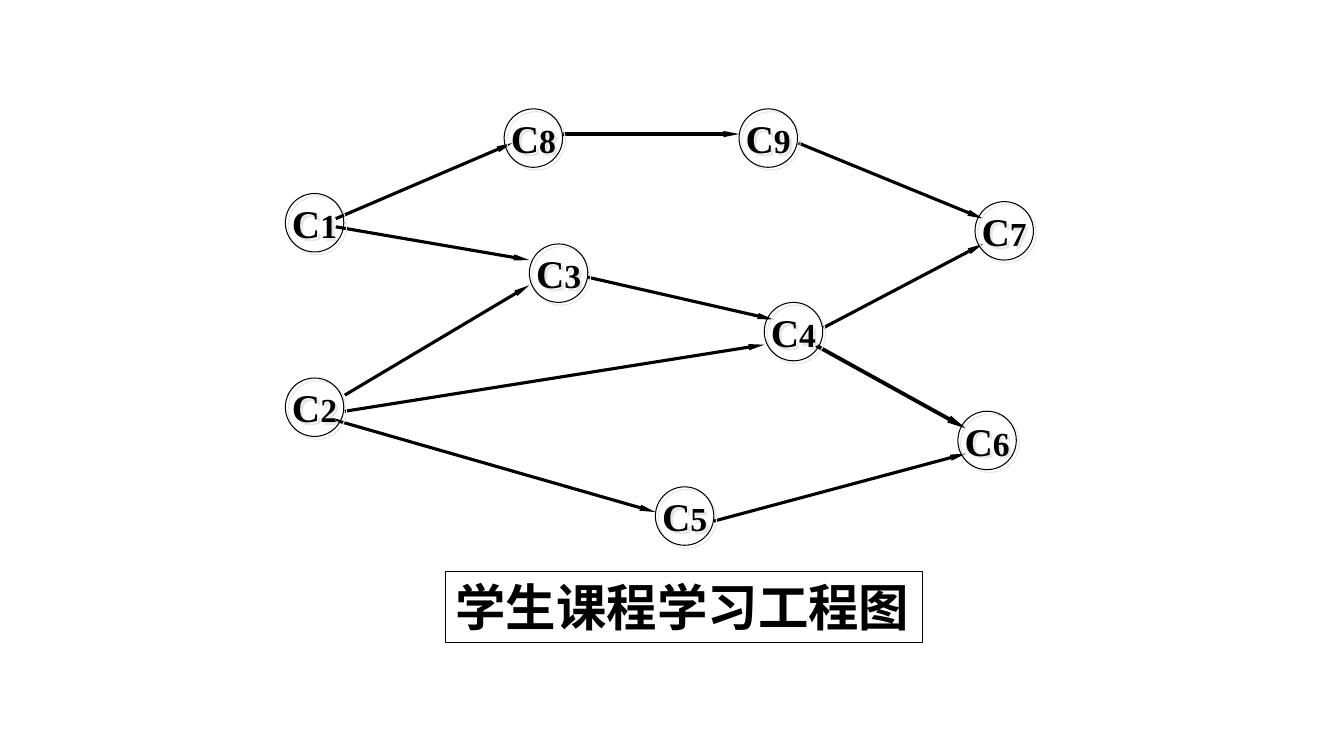
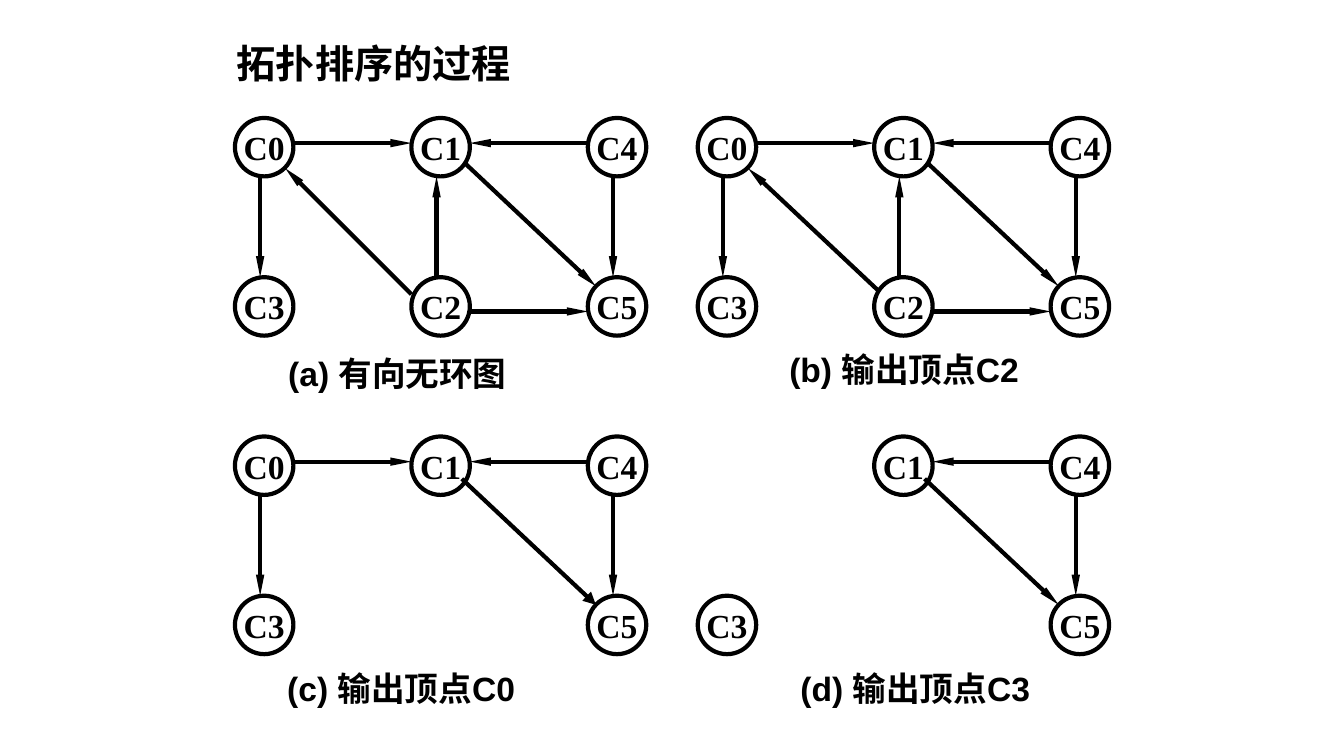
from lxml import etree
from pptx import Presentation
from pptx.dml.color import RGBColor
from pptx.enum.shapes import MSO_CONNECTOR, MSO_SHAPE
from pptx.enum.text import MSO_ANCHOR, MSO_AUTO_SIZE, PP_ALIGN
from pptx.oxml import parse_xml
from pptx.oxml.ns import qn
from pptx.util import Inches, Pt

BLACK = RGBColor(0x00, 0x00, 0x00)
WHITE = RGBColor(0xFF, 0xFF, 0xFF)
SERIF, SANS = "Times New Roman", "Arial"
OVAL, RECT = MSO_SHAPE.OVAL, MSO_SHAPE.RECTANGLE
STRAIGHT = MSO_CONNECTOR.STRAIGHT
MIDDLE, CENTER = MSO_ANCHOR.MIDDLE, PP_ALIGN.CENTER
GROW = MSO_AUTO_SIZE.SHAPE_TO_FIT_TEXT
NODE = 0.58

NODE_SHADOW = (
    '<a:effectLst xmlns:a="http://schemas.openxmlformats.org/drawingml/2006/main">'
    '<a:outerShdw dist="35921" dir="2700000" algn="ctr" rotWithShape="0">'
    '<a:srgbClr val="E7E6E6"/></a:outerShdw></a:effectLst>'
)


def add_arrow(s, x1, y1, x2, y2, weight, head=("sm", "lg")):
    line = s.shapes.add_connector(STRAIGHT, Inches(x1), Inches(y1), Inches(x2), Inches(y2))
    line.line.color.rgb = BLACK
    line.line.width = Pt(weight)
    etree.SubElement(line.line._get_or_add_ln(), qn("a:tailEnd"),
                     type="triangle", w=head[0], len=head[1])
    etree.SubElement(line._element.spPr, qn("a:effectLst"))


def add_text_shape(s, kind, x, y, w, h, parts, font, weight=None, fill=None):
    """Add a shape, or a text box if kind is None; parts are (text, size) pairs."""
    box = Inches(x), Inches(y), Inches(w), Inches(h)
    if kind is None:
        sp = s.shapes.add_textbox(*box)
    else:
        sp = s.shapes.add_shape(kind, *box)
        sp.shadow.inherit = False
        sp.line.color.rgb = BLACK
        sp.line.width = Pt(weight)
        if fill is None:
            sp.fill.background()
        else:
            sp.fill.solid()
            sp.fill.fore_color.rgb = fill
    tf = sp.text_frame
    tf.word_wrap = kind is None
    p = tf.paragraphs[0]
    p.alignment = PP_ALIGN.LEFT
    if kind == OVAL:
        tf.vertical_anchor = MIDDLE
        p.alignment = CENTER
    for text, size in parts:
        r = p.add_run()
        r.text = text
        r.font.name = font
        r.font.size = Pt(size)
        r.font.bold = True
        r.font.color.rgb = BLACK
    return sp


prs = Presentation()
prs.slide_width, prs.slide_height = Inches(13.33), Inches(7.5)
blank = prs.slide_layouts[6]

# Slide 1: course network
s = prs.slides.add_slide(blank)
course_edges = [
    (3.33, 2.17, 5.08, 1.42), (3.33, 2.25, 5.25, 2.58), (3.42, 3.92, 5.25, 2.83),
    (3.42, 4.08, 7.58, 3.42), (3.33, 4.17, 6.5, 5.08), (5.58, 1.33, 7.33, 1.33),
    (5.83, 2.75, 7.67, 3.17), (7.92, 1.42, 9.75, 2.17), (8.17, 3.25, 9.75, 2.42),
    (7.08, 5.17, 9.58, 4.5),
]
for edge in course_edges:
    add_arrow(s, *edge, 2.25)
add_arrow(s, 8.08, 3.42, 9.58, 4.25, 2.75)

courses = {
    "1": (2.83, 1.92), "2": (2.83, 3.75), "3": (5.25, 2.42),
    "4": (7.58, 3), "5": (6.5, 4.83), "6": (9.5, 4.08),
    "7": (9.67, 2), "8": (5, 1.08), "9": (7.33, 1.08),
}
for number, (x, y) in courses.items():
    sp = add_text_shape(s, OVAL, x, y, NODE, NODE, [("C", 28), (number, 24)], SERIF, 0.75)
    spPr = sp._element.spPr
    spPr.replace(spPr.find(qn("a:effectLst")), parse_xml(NODE_SHADOW))

sp = add_text_shape(s, RECT, 4.42, 5.67, 4.73, 0.7, [("学生课程学习工程图", 36)], SERIF, 0.75)
sp.text_frame.vertical_anchor = MSO_ANCHOR.TOP
sp.text_frame.auto_size = GROW

# Slide 2: topological sort in four panels
s = prs.slides.add_slide(blank)
sp = add_text_shape(s, None, 2.25, 0.25, 4.17, 0.75, [("拓扑排序的过程", 28)], SANS)
sp.text_frame.vertical_anchor = MIDDLE

# Column and row of each vertex; edge ends measured from the panel's corner
COL, ROW = 1.75, 1.58
vertices = {"C0": (0, 0), "C1": (1, 0), "C4": (2, 0),
            "C3": (0, 1), "C2": (1, 1), "C5": (2, 1)}
edges = {
    ("C0", "C1"): (0.58, 0.25, 1.75, 0.25),
    ("C4", "C1"): (3.5, 0.25, 2.33, 0.25),
    ("C0", "C3"): (0.25, 0.58, 0.25, 1.58),
    ("C2", "C1"): (2, 1.58, 2, 0.58),
    ("C2", "C0"): (1.75, 1.75, 0.5, 0.5),
    ("C2", "C5"): (2.33, 1.92, 3.5, 1.92),
    ("C4", "C5"): (3.75, 0.58, 3.75, 1.58),
    ("C1", "C5"): (2.25, 0.42, 3.58, 1.67),
}
shifted = {("C2", "C0"): (1.83, 1.75, 0.5, 0.5),
           ("C1", "C5"): (2.25, 0.42, 3.58, 1.67)}

# Corner, removed vertices, edge changes, fill, diagonal head, caption and its place
panels = [
    (2.33, 1.17, (), {}, WHITE, ("sm", "lg"), "(a) 有向无环图", 2.76, 3.45),
    (6.92, 1.17, (), shifted, WHITE, ("sm", "lg"), "(b) 输出顶点C2", 7.73, 3.41),
    (2.33, 4.33, ("C2",), {}, None, ("med", "med"), "(c) 输出顶点C0", 2.75, 6.58),
    (6.92, 4.33, ("C2", "C0"), {}, None, ("sm", "lg"), "(d) 输出顶点C3", 7.84, 6.58),
]
for left, top, removed, changes, fill, head, caption, cap_x, cap_y in panels:
    for ends, edge in {**edges, **changes}.items():
        if not set(ends) & set(removed):
            x1, y1, x2, y2 = edge
            style = head if ends == ("C1", "C5") else ("sm", "lg")
            add_arrow(s, left + x1, top + y1, left + x2, top + y2, 3, style)
    for name, (col, row) in vertices.items():
        if name not in removed:
            add_text_shape(s, OVAL, left + col * COL, top + row * ROW, NODE, NODE,
                           [(name, 24)], SERIF, 3, fill)
    sp = add_text_shape(s, None, cap_x, cap_y, 2.5, 0.5, [(caption, 24)], SANS)
    sp.text_frame.auto_size = GROW

prs.save("out.pptx")
